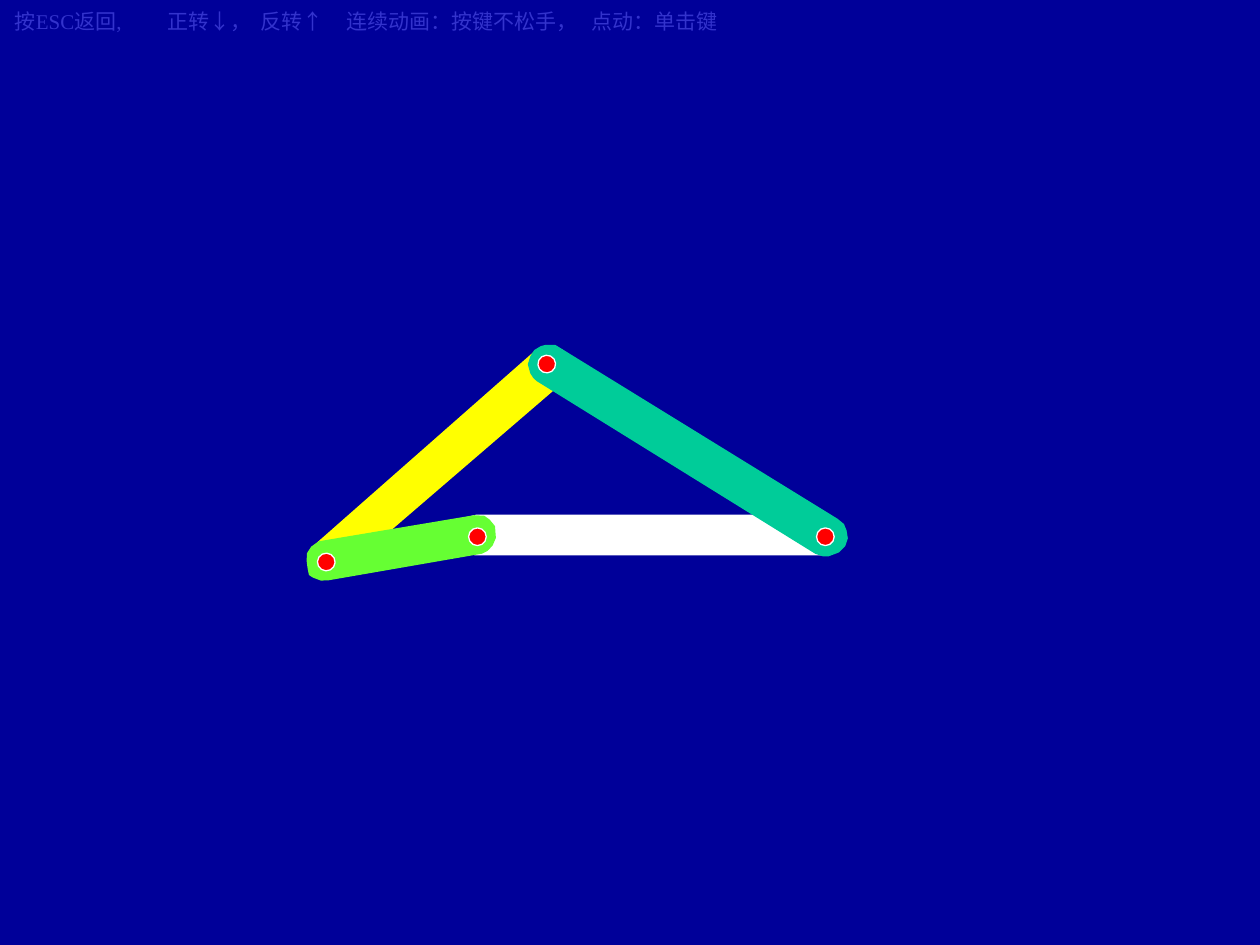
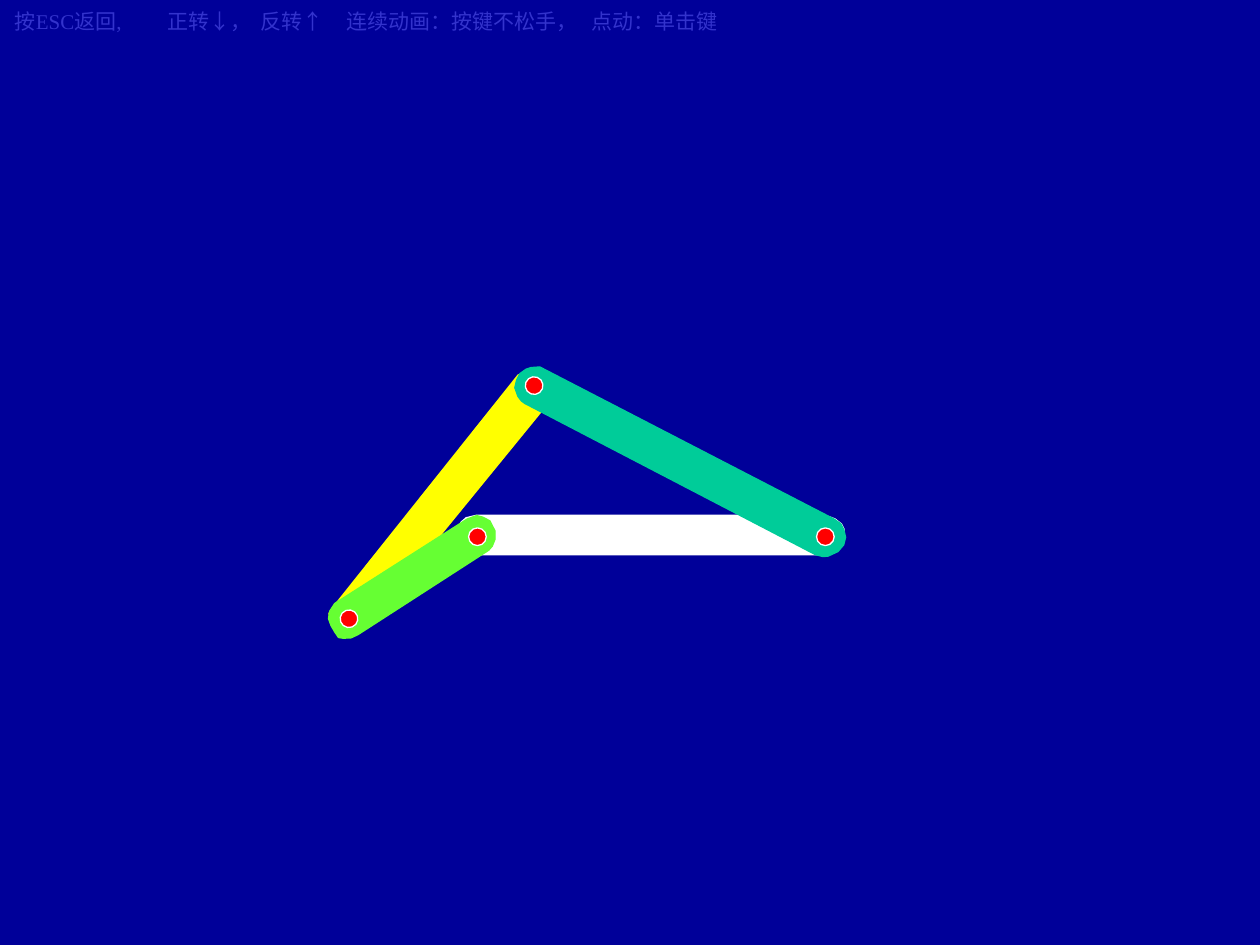
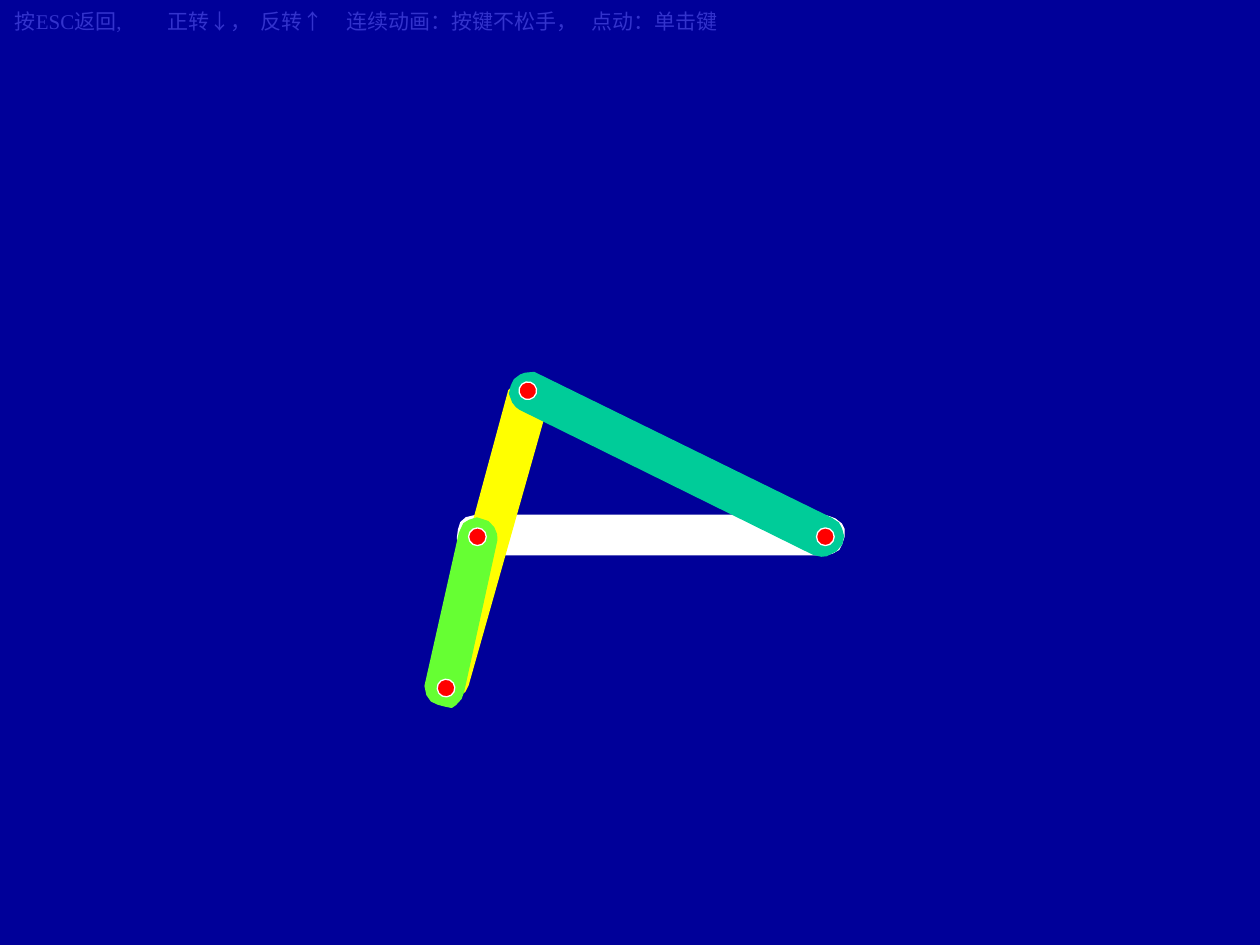
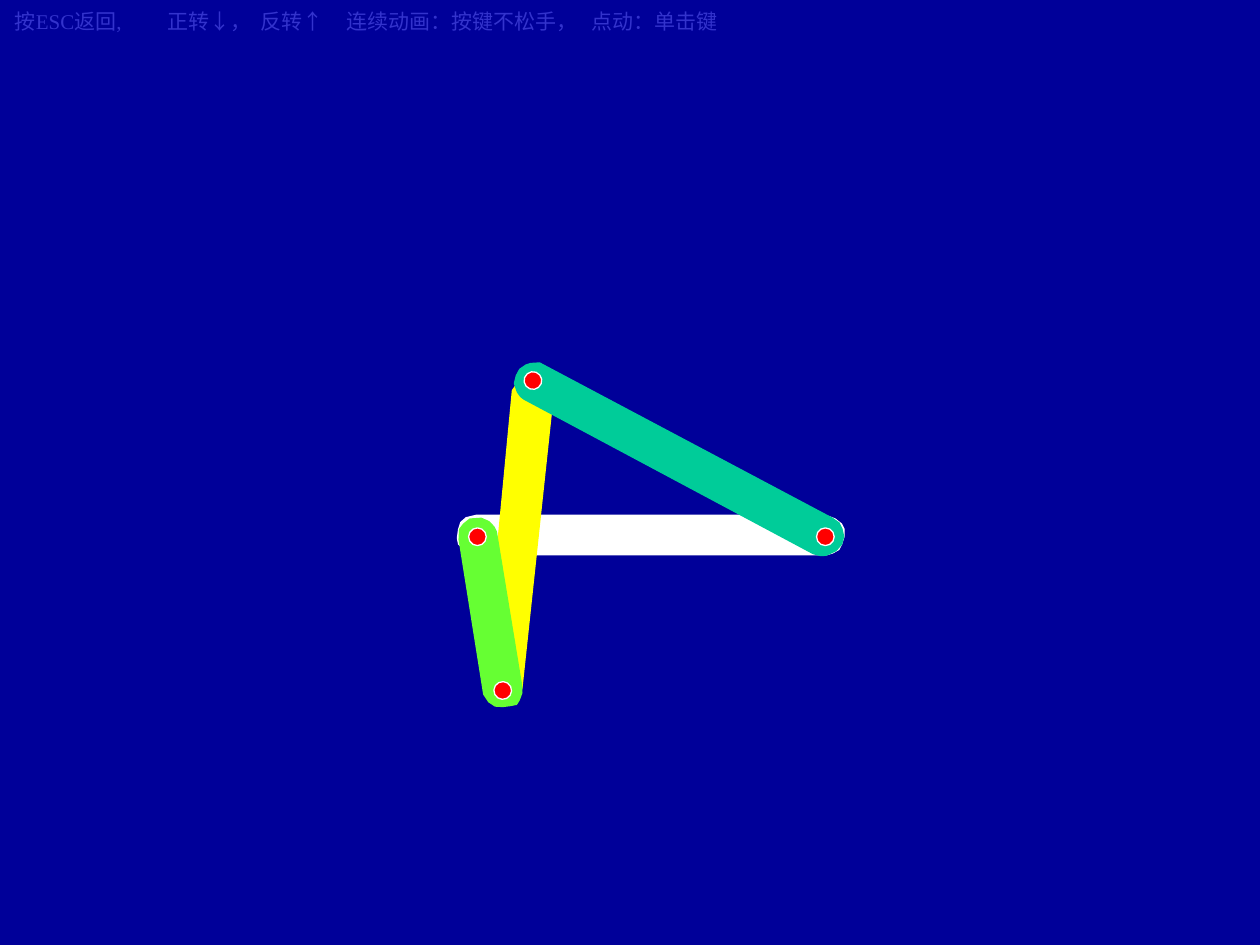
from lxml.etree import SubElement
from pptx import Presentation
from pptx.dml.color import RGBColor
from pptx.enum.shapes import MSO_SHAPE
from pptx.enum.text import MSO_AUTO_SIZE
from pptx.oxml.ns import qn
from pptx.util import Pt

# Content: all lengths in points
HINT = ["按ESC返回,", "正转↓，", "反转↑", "连续动画：按键不松手，", "点动：单击键"]
HINT_TABS = [87.4, 140.6, 189.7, 329.7]
HINT_BOX = (1.4, 1.4, 467.3, 21.6)
HINT_FONT = {"name": "Times New Roman", "size": Pt(12)}
HINT_MARGINS = {"margin_left": 7.2, "margin_right": 7.2,
                "margin_top": 3.6, "margin_bottom": 3.6}

BACKGROUND, HINT_COLOUR = "000099", "3333CC"
PIN_FILL, PIN_LINE = "FF0000", "FFFFFF"
PIN_SIZE, LINE_WIDTH = 10.1, 0.75

# Each bar: colour and outline in its own unrotated box
BARS = {
    "frame": ("FFFFFF", [
        (10.8, 0), (209.5, 0), (213, 1), (216, 2.2), (219.5, 5), (221, 8),
        (221, 12), (219.5, 16.5), (218, 19.5), (214.5, 21.5), (211, 22.5),
        (10, 22.5), (4.3, 20), (0.7, 16.5), (0, 13), (0.7, 8), (2, 4),
        (5, 1.4)]),
    "coupler": ("FFFF00", [
        (5, 87.3), (149.6, 0.2), (155.5, 0), (159, 0.5), (162.9, 3.4),
        (165.4, 6), (165.9, 11.2), (164.2, 16.8), (161.2, 20.6),
        (16.3, 105.6), (12.4, 107), (8.1, 106.2), (4.7, 104.9),
        (1.1, 100.6), (0, 95.9), (0.8, 90.3)]),
    "crank": ("66FF33", [
        (20, 99.4), (0.4, 12.7), (0, 8.4), (1.4, 4), (2.7, 1.7), (6.2, 0.8),
        (10.5, 0), (14.8, 0), (18.6, 2.2), (21.7, 6.3), (41, 93.9),
        (41, 99.7), (39, 102.7), (35.6, 105.8), (29.1, 106.6), (24.7, 105),
        (21.6, 102.2)]),
    "rocker": ("00CC99", [
        (75.6, 186.6), (0.6, 15), (0, 12.6), (0.1, 9.4), (1.8, 4.5),
        (5.4, 1.7), (9.2, 0), (13.5, 0.3), (16.2, 1.3), (20.4, 4.2),
        (96.7, 177.5), (98, 182), (97.2, 185.7), (95.3, 189.7),
        (91.7, 192.4), (86.7, 193.3), (80.7, 191.8), (78.3, 190.2)]),
}

FRAME_PLACE = (261.4, 294.5, 0)
FIXED_PINS = [(466.6, 301.7, 0), (267.8, 301.7, 0)]

# One pose per slide: left, top, rotation of each moving part
POSES = [
    {"coupler": (168.5, 210.2, 349.7), "crank": (208.8, 259.9, 272.9),
     "crank pin": (181.4, 316.1, 272.9), "rocker": (344.2, 160.6, 325.4),
     "rocker pin": (307.4, 203, 325.4)},
    {"coupler": (169.2, 234, 339.6), "crank": (215.3, 276.5, 249.9),
     "crank pin": (194.4, 348.5, 249.9), "rocker": (339.8, 167, 321.1),
     "rocker pin": (300.2, 215.3, 321.1)},
    {"coupler": (196.6, 254.2, 316.2), "crank": (243.4, 296.6, 205.1),
     "crank pin": (249.8, 388.1, 205.1), "rocker": (337.7, 168.5, 319.9),
     "rocker pin": (296.6, 218.2, 318)},
    {"coupler": (213.1, 254.9, 306.5), "crank": (259.9, 296.6, 183.4),
     "crank pin": (282.2, 389.5, 183.4), "rocker": (339.1, 165.6, 321.7),
     "rocker pin": (299.5, 212.4, 320.4)},
]


def colour(hex_text):
    return RGBColor.from_string(hex_text)


def paint(shape, fill, line, rotation):
    shape.shadow.inherit = False
    shape.fill.solid()
    shape.fill.fore_color.rgb = colour(fill)
    shape.line.color.rgb = colour(line)
    shape.line.width = Pt(LINE_WIDTH)
    shape.rotation = rotation


def add_bar(page, name, place):
    left, top, rotation = place
    fill, outline = BARS[name]
    points = [(Pt(left + x), Pt(top + y)) for x, y in outline]
    builder = page.shapes.build_freeform(*points[0])
    builder.add_line_segments(points[1:], close=True)
    paint(builder.convert_to_shape(), fill, fill, rotation)


def add_pin(page, place):
    left, top, rotation = place
    pin = page.shapes.add_shape(MSO_SHAPE.OVAL, Pt(left), Pt(top),
                                Pt(PIN_SIZE), Pt(PIN_SIZE))
    paint(pin, PIN_FILL, PIN_LINE, rotation)


def add_hint(page):
    frame = page.shapes.add_textbox(*map(Pt, HINT_BOX)).text_frame
    frame.word_wrap = True
    frame.auto_size = MSO_AUTO_SIZE.SHAPE_TO_FIT_TEXT
    for side, margin in HINT_MARGINS.items():
        setattr(frame, side, Pt(margin))
    para = frame.paragraphs[0]
    # Tab stops set the gaps between the key hints
    stops = SubElement(para._p.get_or_add_pPr(), qn("a:tabLst"))
    for position in HINT_TABS:
        SubElement(stops, qn("a:tab"), pos=str(Pt(position)), algn="l")
    span = para.add_run()
    span.text = "\t".join(HINT)
    for key, value in HINT_FONT.items():
        setattr(span.font, key, value)
    span.font.color.rgb = colour(HINT_COLOUR)


def add_linkage(page, pose):
    add_bar(page, "frame", FRAME_PLACE)
    for part, place in pose.items():
        if part in BARS:
            add_bar(page, part, place)
        else:
            add_pin(page, place)
    for place in FIXED_PINS:
        add_pin(page, place)


def main():
    deck = Presentation()
    deck.slide_width, deck.slide_height = Pt(720), Pt(540)
    # Shared background
    backdrop = deck.slide_master.background.fill
    backdrop.solid()
    backdrop.fore_color.rgb = colour(BACKGROUND)
    for pose in POSES:
        page = deck.slides.add_slide(deck.slide_layouts[6])
        add_linkage(page, pose)
        add_hint(page)
    deck.save("out.pptx")


if __name__ == "__main__":
    main()
